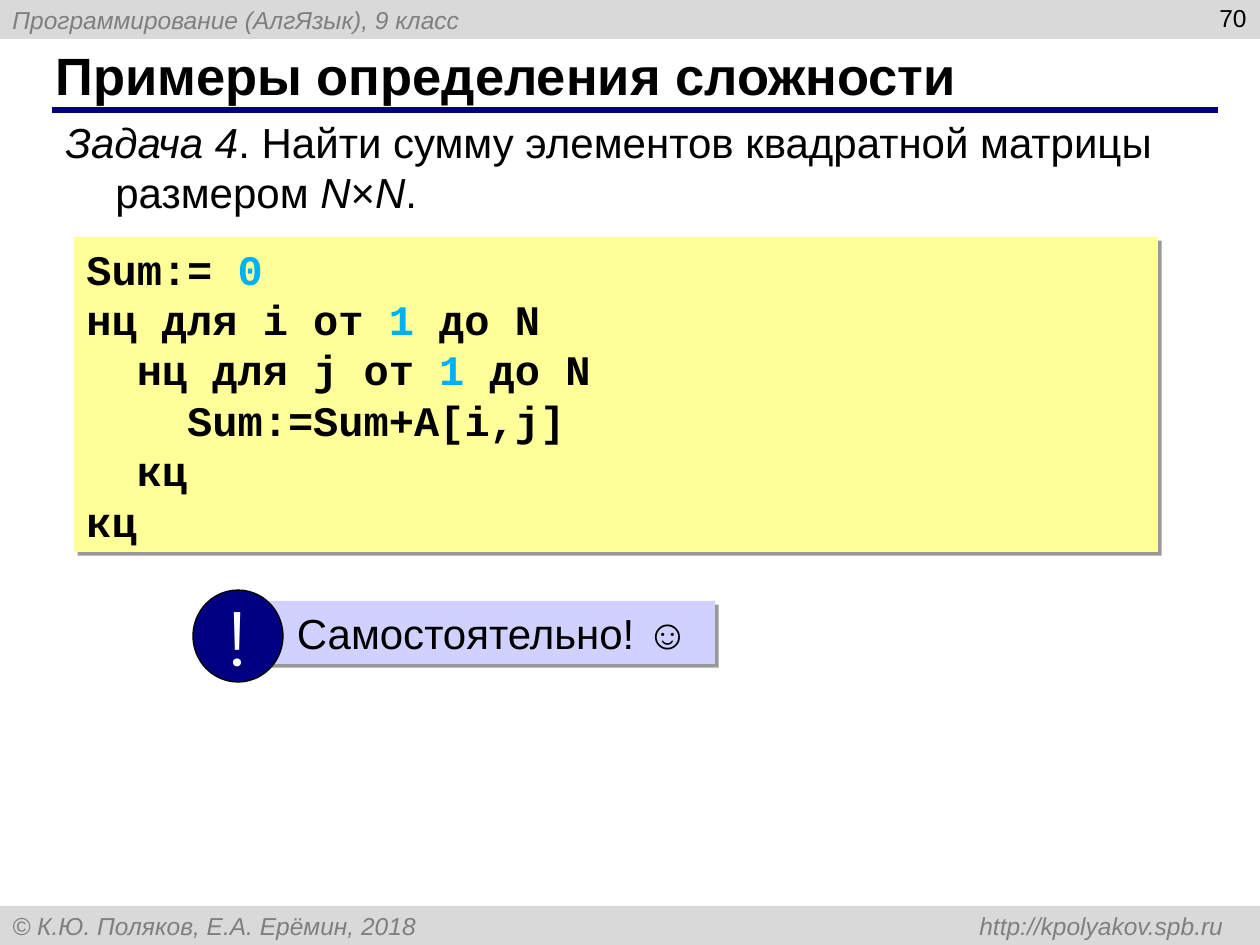
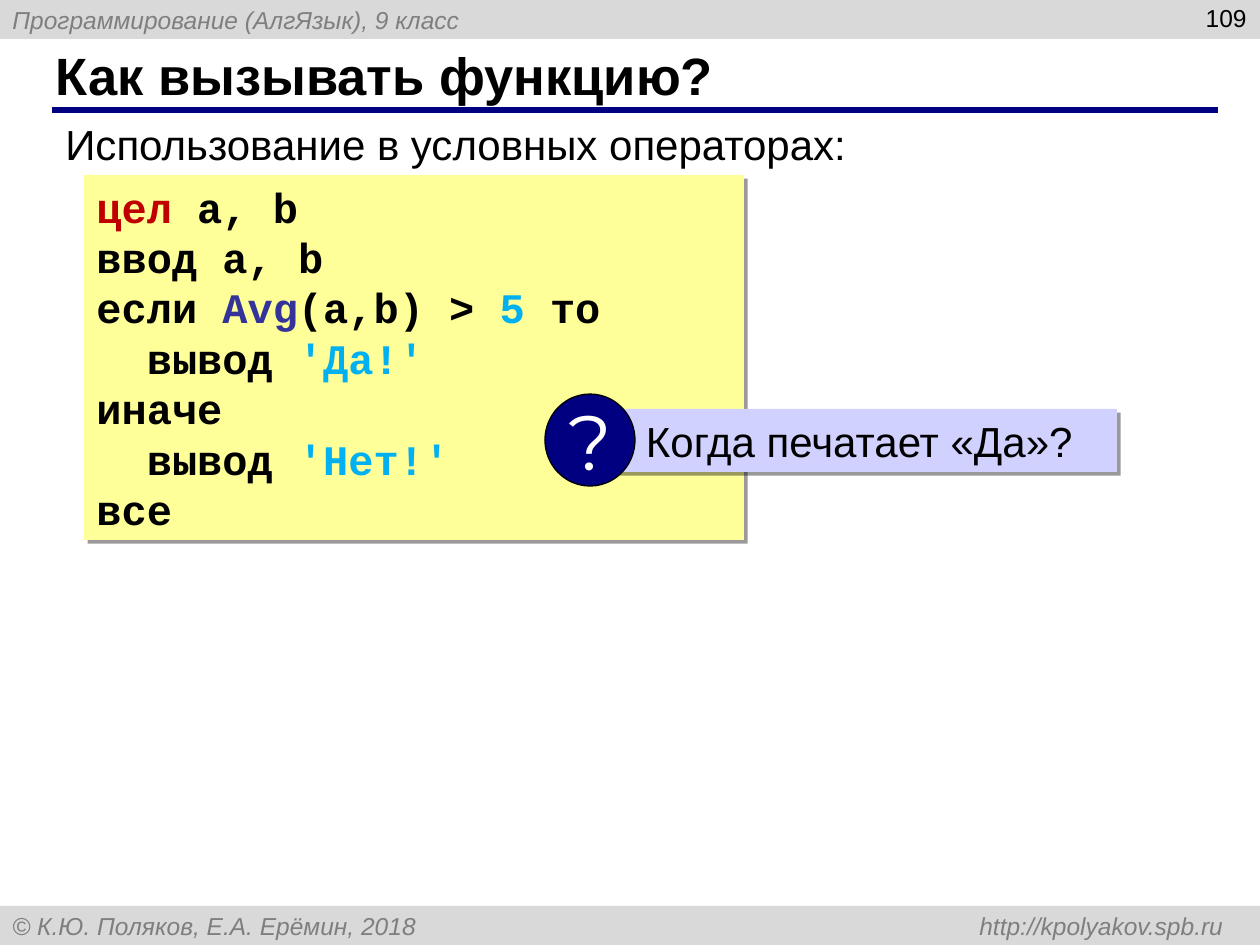
from typing import NamedTuple

from lxml import etree
from pptx import Presentation
from pptx import util as u
from pptx.dml.color import RGBColor
from pptx.enum import shapes, text
from pptx.oxml import ns

BLACK = RGBColor(0x00, 0x00, 0x00)
WHITE = RGBColor(0xFF, 0xFF, 0xFF)
NAVY = RGBColor(0x00, 0x00, 0x80)
BAND = RGBColor(0xD9, 0xD9, 0xD9)
GREY = RGBColor(0x7F, 0x7F, 0x7F)
CREAM = RGBColor(0xFF, 0xFF, 0x99)
LILAC = RGBColor(0xD1, 0xD1, 0xFF)
CYAN = RGBColor(0x00, 0xB0, 0xF0)
RED = RGBColor(0xC0, 0x00, 0x00)
INDIGO = RGBColor(0x33, 0x33, 0x99)

SANS, MONO, SIGN = "Arial", "Courier New", "Montserrat"
WIDE, HIGH, STRIP = 1260, 945, 39
PX = u.Inches(1) / 126
PITCH = u.Pt(28.8)


class Box(NamedTuple):
    left: int
    top: int
    width: int
    height: int


class Bit(NamedTuple):
    words: str
    tone: RGBColor = BLACK
    slant: bool = False


class Font(NamedTuple):
    name: str
    size: int
    bold: bool = False


class Call(NamedTuple):
    sign: str
    words: str
    disc: Box
    bar: Box


class Page(NamedTuple):
    number: str
    title: str
    lead: list[Bit]
    leadbox: Box
    code: list[list[Bit]]
    codebox: Box
    call: Call


BODY, CODE = Font(SANS, 24), Font(MONO, 24, True)
HEAD, NOTE, MARK = Font(SANS, 30, True), Font(SANS, 14), Font(SIGN, 44)


def px(count: int) -> u.Emu:
    return u.Emu(round(count * PX))


def span(box: Box) -> list[u.Emu]:
    return [px(side) for side in box]


def write(shape, lines: list[list[Bit]], font: Font, align=text.PP_ALIGN.LEFT,
          anchor=text.MSO_ANCHOR.TOP, pitch: u.Length | None = None) -> None:
    frame = shape.text_frame
    frame.word_wrap = True
    frame.auto_size = text.MSO_AUTO_SIZE.NONE
    frame.vertical_anchor = anchor
    for row, bits in enumerate(lines):
        para = frame.add_paragraph() if row else frame.paragraphs[0]
        para.alignment = align
        para.line_spacing = pitch
        for bit in bits:
            run = para.add_run()
            run.text = bit.words
            run.font.name, run.font.size = font.name, u.Pt(font.size)
            run.font.bold, run.font.italic = font.bold, bit.slant
            run.font.color.rgb = bit.tone


def block(parent, kind, box: Box, fill: RGBColor):
    """Add a plain filled shape with neither outline nor shadow."""
    shape = parent.add_shape(kind, *span(box))
    shape.shadow.inherit = False
    shape.fill.solid()
    shape.fill.fore_color.rgb = fill
    shape.line.fill.background()
    return shape


def shade(shape) -> None:
    """Cast a hard grey shadow to the lower right."""
    effect = shape._element.spPr.find(ns.qn("a:effectLst"))
    cast = etree.SubElement(effect, ns.qn("a:outerShdw"), blurRad="0",
                            dist=str(u.Pt(3)), dir="2700000", algn="tl", rotWithShape="0")
    tone = etree.SubElement(cast, ns.qn("a:srgbClr"), val=str(BLACK))
    etree.SubElement(tone, ns.qn("a:alpha"), val="40000")


def band(slide, top: int, words: str):
    strip = block(slide.shapes, shapes.MSO_SHAPE.RECTANGLE, Box(0, top, WIDE, STRIP), BAND)
    write(strip, [[Bit(words, GREY, True)]], NOTE, anchor=text.MSO_ANCHOR.MIDDLE)
    return strip


def frame(slide, page: Page) -> None:
    """Draw the bands, rule, title and page number that every slide has."""
    band(slide, 0, "Программирование (АлгЯзык), 9 класс")
    foot = band(slide, HIGH - STRIP, "© К.Ю. Поляков, Е.А. Ерёмин, 2018\thttp://kpolyakov.spb.ru")
    props = foot.text_frame.paragraphs[0]._p.get_or_add_pPr()
    tabs = etree.SubElement(props, ns.qn("a:tabLst"))
    etree.SubElement(tabs, ns.qn("a:tab"), pos=str(px(1211)), algn="r")

    rule = slide.shapes.add_connector(shapes.MSO_CONNECTOR.STRAIGHT,
                                      px(52), px(110), px(1218), px(110))
    rule.line.color.rgb = NAVY
    rule.line.width = u.Pt(3)
    etree.SubElement(rule._element.spPr, ns.qn("a:effectLst"))

    title = slide.shapes.title
    title.left, title.top, title.width, title.height = span(Box(43, 42, 1154, 65))
    write(title, [[Bit(page.title)]], HEAD, anchor=text.MSO_ANCHOR.MIDDLE)
    number = slide.shapes.add_textbox(*span(Box(965, -3, 294, 65)))
    write(number, [[Bit(page.number)]], NOTE, text.PP_ALIGN.RIGHT)


def callout(slide, call: Call) -> None:
    group = slide.shapes.add_group_shape().shapes
    bar = block(group, shapes.MSO_SHAPE.RECTANGLE, call.bar, LILAC)
    shade(bar)
    write(bar, [[Bit(call.words)]], BODY, pitch=PITCH)
    bar.text_frame.margin_left = px(36)
    disc = block(group, shapes.MSO_SHAPE.OVAL, call.disc, NAVY)
    disc.line.color.rgb = BLACK
    disc.line.width = u.Pt(0.75)
    write(disc, [[Bit(call.sign, WHITE)]], MARK, text.PP_ALIGN.CENTER, text.MSO_ANCHOR.MIDDLE)
    disc.text_frame.word_wrap = False


def build(deck, page: Page) -> None:
    slide = deck.slides.add_slide(deck.slide_layouts[5])
    frame(slide, page)
    lead = slide.shapes.add_textbox(*span(page.leadbox))
    write(lead, [page.lead], BODY, pitch=PITCH)
    props = lead.text_frame.paragraphs[0]._p.get_or_add_pPr()
    props.set("marL", str(px(50)))
    props.set("indent", str(px(-50)))
    code = block(slide.shapes, shapes.MSO_SHAPE.RECTANGLE, page.codebox, CREAM)
    shade(code)
    write(code, page.code, CODE, pitch=PITCH)
    callout(slide, page.call)


def loop(head: str) -> list[Bit]:
    return [Bit(f"{head} от "), Bit("1", CYAN), Bit(" до N")]


def output(words: str) -> list[Bit]:
    return [Bit("  вывод "), Bit(words, CYAN)]


PAGES = [
    Page("70", "Примеры определения сложности",
         [Bit("Задача 4", slant=True),
          Bit(". Найти сумму элементов квадратной матрицы размером "),
          Bit("N", slant=True), Bit("×"), Bit("N", slant=True), Bit(".")],
         Box(53, 110, 1147, 113),
         [[Bit("Sum:= "), Bit("0", CYAN)], loop("нц для i"), loop("  нц для j"),
          [Bit("    Sum:=Sum+A[i,j]")], [Bit("  кц")], [Bit("кц")]],
         Box(74, 237, 1084, 315),
         Call("!", "Самостоятельно! ☺", Box(193, 590, 90, 92), Box(261, 601, 454, 63))),
    Page("109", "Как вызывать функцию?",
         [Bit("Использование в условных операторах:")],
         Box(53, 112, 834, 63),
         [[Bit("цел ", RED), Bit("a, b")], [Bit("ввод a, b")],
          [Bit("если "), Bit("Avg", INDIGO), Bit("(a,b) > "), Bit("5 ", CYAN), Bit("то")],
          output("'Да!'"), [Bit("иначе")], output("'Нет!'"), [Bit("все")]],
         Box(84, 175, 660, 365),
         Call("?", "Когда печатает «Да»?", Box(545, 394, 90, 92), Box(610, 409, 507, 63))),
]


def main() -> None:
    deck = Presentation()
    deck.slide_width, deck.slide_height = px(WIDE), px(HIGH)
    for page in PAGES:
        build(deck, page)
    deck.save("out.pptx")


if __name__ == "__main__":
    main()
